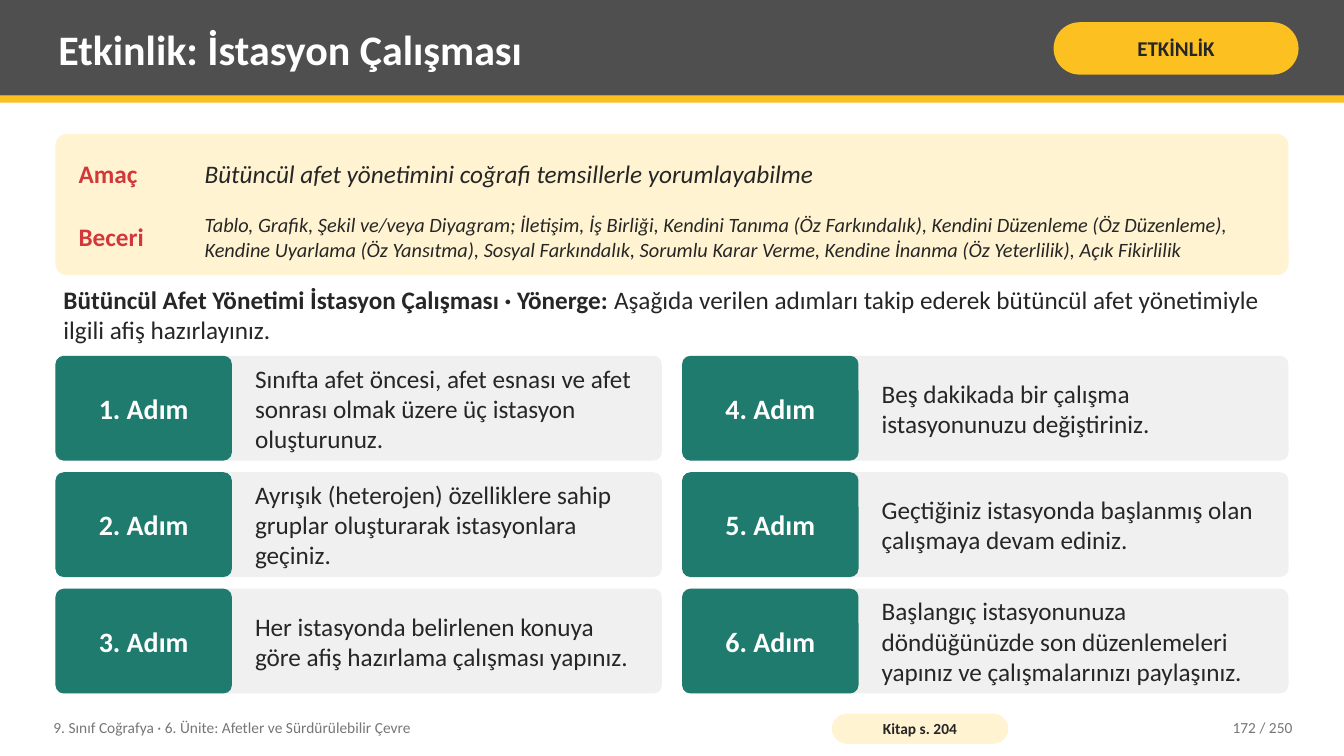
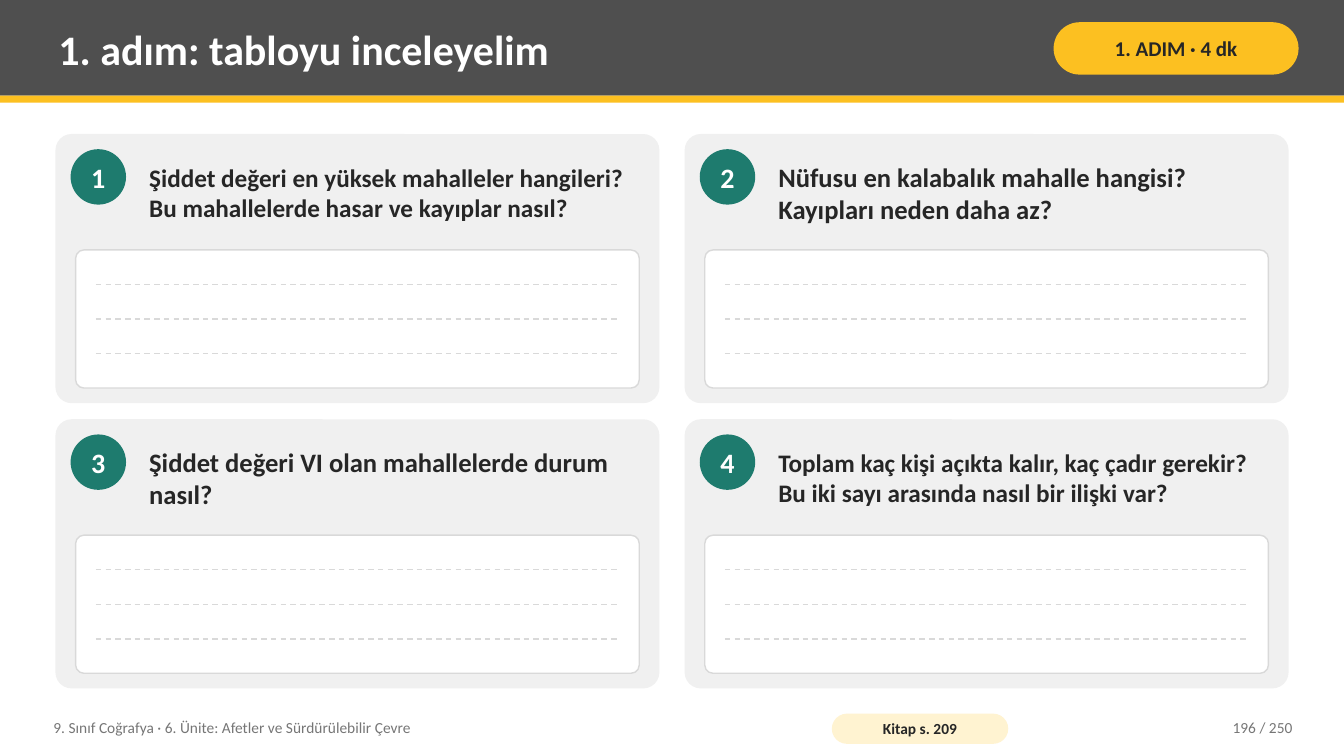
from dataclasses import dataclass, replace

from lxml.etree import SubElement
from pptx import Presentation
from pptx.dml.color import RGBColor as Rgb
from pptx.enum.dml import MSO_LINE as Dash
from pptx.enum.shapes import MSO_CONNECTOR as Connector, MSO_SHAPE as Preset
from pptx.enum.text import MSO_ANCHOR as Anchor, MSO_AUTO_SIZE as AutoSize, PP_ALIGN as Align
from pptx.oxml.ns import qn
from pptx.util import Inches, Pt


@dataclass(frozen=True)
class Style:
    size: float
    color: str
    bold: bool = False
    italic: bool = False
    align: Align = Align.LEFT


class Theme:
    font = "Calibri"
    white, ink, muted, rule = "FFFFFF", "262626", "767676", "D9D9D9"
    band, accent, cream, card = "4F4F4F", "FCC021", "FFF3D1", "F0F0F0"
    green, red = "1E7B6E", "D3373A"

    title = Style(30, white, bold=True)
    tag = Style(15, ink, bold=True, align=Align.CENTER)
    label = Style(18, red, bold=True)
    goal = Style(18, ink, italic=True)
    skills = replace(goal, size=14.5)
    body = Style(18, ink)
    strong = replace(body, bold=True)
    number = Style(20, white, bold=True, align=Align.CENTER)
    footer = Style(11, muted)
    page = replace(footer, align=Align.RIGHT)
    source = replace(tag, size=11)


WIDTH, HEIGHT = 13.33, 7.5
ROWS = 75
CELL = HEIGHT / ROWS
COLUMNS = WIDTH / CELL
MARGIN, CONTENT_WIDTH, CONTENT_TOP = 5.5, 122.3, 13.3
TEXT_INSET = (0.8, 0.4)
TOTAL_PAGES = 250
UNIT = "9. Sınıf Coğrafya · 6. Ünite: Afetler ve Sürdürülebilir Çevre"


def cells(count):
    return Inches(count * CELL)


def tiles(area, columns, rows, gap_x, gap_y):
    left, top, width, height = area
    tile_width = (width - (columns - 1) * gap_x) / columns
    tile_height = (height - (rows - 1) * gap_y) / rows
    return [
        [
            (left + c * (tile_width + gap_x), top + r * (tile_height + gap_y), tile_width, tile_height)
            for c in range(columns)
        ]
        for r in range(rows)
    ]


class Lesson:
    def __init__(self):
        self.deck = Presentation()
        self.deck.slide_width, self.deck.slide_height = Inches(WIDTH), Inches(HEIGHT)
        self.slide = None

    def start(self, title, tag, book_page, page):
        self.slide = self.deck.slides.add_slide(self.deck.slide_layouts[5])
        self.block((0, 0, COLUMNS, 9.5), Theme.band)
        stripe = self.block((0, 9.5, COLUMNS, 0.7), Theme.accent)
        heading = self.slide.shapes.title
        stripe.element.addnext(heading.element)
        heading.left, heading.top, heading.width, heading.height = map(cells, (5, 0.7, 97.5, 8.2))
        self.fill_text(heading, title, Theme.title)
        self.pill((104.5, 2.2, 24.3, 5.2), Theme.accent, tag, Theme.tag, (0.5, 0.2))
        self.text((4.5, 70.4, 76, 3.6), UNIT, Theme.footer)
        self.pill((82.5, 70.8, 17.5, 3), Theme.cream, f"Kitap s. {book_page}", Theme.source, (0.4, 0))
        self.text((113, 70.4, 16, 3.6), f"{page} / {TOTAL_PAGES}", Theme.page)

    def fill_text(self, shape, text, style, inset=TEXT_INSET, wrap=True):
        frame = shape.text_frame
        frame.text = text
        frame.auto_size = AutoSize.NONE
        frame.word_wrap = wrap
        frame.vertical_anchor = Anchor.MIDDLE
        frame.margin_left = frame.margin_right = cells(inset[0])
        frame.margin_top = frame.margin_bottom = cells(inset[1])
        paragraph = frame.paragraphs[0]
        paragraph.alignment = style.align
        self.dress(paragraph.runs[0], style)
        return paragraph

    def dress(self, run, style):
        font = run.font
        font.name, font.size = Theme.font, Pt(style.size)
        font.bold, font.italic = style.bold, style.italic
        font.color.rgb = Rgb.from_string(style.color)

    def text(self, area, text, style):
        return self.fill_text(self.slide.shapes.add_textbox(*map(cells, area)), text, style)

    def block(self, area, fill, preset=Preset.RECTANGLE, line=None):
        shape = self.slide.shapes.add_shape(preset, *map(cells, area))
        shape.shadow.inherit = False
        shape.fill.solid()
        shape.fill.fore_color.rgb = Rgb.from_string(fill)
        if line:
            shape.line.color.rgb = Rgb.from_string(line)
            shape.line.width = Pt(1)
        else:
            shape.line.fill.background()
        return shape

    def panel(self, area, fill, roundness, line=None):
        shape = self.block(area, fill, Preset.ROUNDED_RECTANGLE, line)
        shape.adjustments[0] = roundness
        return shape

    def pill(self, area, fill, text, style, inset):
        self.fill_text(self.panel(area, fill, 0.5), text, style, inset)

    def answer_line(self, left, right, y):
        rule = self.slide.shapes.add_connector(Connector.STRAIGHT, *map(cells, (left, y, right, y)))
        rule.line.color.rgb = Rgb.from_string(Theme.rule)
        rule.line.width = Pt(1)
        rule.line.dash_style = Dash.DASH
        SubElement(rule.element.spPr, qn("a:effectLst"))

    def aim(self, label, text, style, top, height):
        self.text((7, top, 12.5, height), label, Theme.label)
        self.text((19.5, top, 106.3, height), text, style)

    def instruction(self, area, lead, rest):
        run = self.text(area, lead, Theme.strong).add_run()
        run.text = rest
        self.dress(run, Theme.body)

    def step(self, area, number, text):
        left, top, width, height = area
        self.panel(area, Theme.card, 0.08)
        badge = self.panel((left, top, 17.5, height), Theme.green, 0.08)
        self.fill_text(badge, f"{number}. Adım", Theme.number, (0.6, 0.8))
        self.text((left + 19, top, width - 20, height), text, Theme.body)

    def question(self, area, number, text, size):
        left, top, width, height = area
        self.panel(area, Theme.card, 0.06)
        circle = self.block((left + 1.5, top + 1.5, 5.5, 5.5), Theme.green, Preset.OVAL)
        self.fill_text(circle, str(number), Theme.number, (0, 0), wrap=False)
        self.text((left + 8.5, top + 0.8, width - 10, 10), text, replace(Theme.strong, size=size))
        answer_top, answer_height = top + 11.5, height - 13
        self.panel((left + 2, answer_top, width - 4, answer_height), Theme.white, 0.06, Theme.rule)
        for quarter in (1, 2, 3):
            self.answer_line(left + 4, left + width - 4, answer_top + quarter * answer_height / 4)


STEPS = [
    "Sınıfta afet öncesi, afet esnası ve afet sonrası olmak üzere üç istasyon oluşturunuz.",
    "Ayrışık (heterojen) özelliklere sahip gruplar oluşturarak istasyonlara geçiniz.",
    "Her istasyonda belirlenen konuya göre afiş hazırlama çalışması yapınız.",
    "Beş dakikada bir çalışma istasyonunuzu değiştiriniz.",
    "Geçtiğiniz istasyonda başlanmış olan çalışmaya devam ediniz.",
    "Başlangıç istasyonunuza döndüğünüzde son düzenlemeleri yapınız ve çalışmalarınızı paylaşınız.",
]

QUESTIONS = [
    ("Şiddet değeri en yüksek mahalleler hangileri? Bu mahallelerde hasar ve kayıplar nasıl?", 18),
    ("Nüfusu en kalabalık mahalle hangisi? Kayıpları neden daha az?", 19),
    ("Şiddet değeri VI olan mahallelerde durum nasıl?", 19),
    ("Toplam kaç kişi açıkta kalır, kaç çadır gerekir? Bu iki sayı arasında nasıl bir ilişki var?", 18),
]


def station_activity(lesson):
    lesson.start("Etkinlik: İstasyon Çalışması", "ETKİNLİK", 204, 172)
    lesson.panel((MARGIN, CONTENT_TOP, CONTENT_WIDTH, 14), Theme.cream, 0.08)
    lesson.aim("Amaç", "Bütüncül afet yönetimini coğrafi temsillerle yorumlayabilme", Theme.goal, 13.9, 6.7)
    lesson.aim(
        "Beceri",
        "Tablo, Grafik, Şekil ve/veya Diyagram; İletişim, İş Birliği, Kendini Tanıma (Öz Farkındalık), "
        "Kendini Düzenleme (Öz Düzenleme), Kendine Uyarlama (Öz Yansıtma), Sosyal Farkındalık, "
        "Sorumlu Karar Verme, Kendine İnanma (Öz Yeterlilik), Açık Fikirlilik",
        Theme.skills, 20.3, 6.4,
    )
    lesson.instruction(
        (MARGIN, 27.7, CONTENT_WIDTH, 7),
        "Bütüncül Afet Yönetimi İstasyon Çalışması · Yönerge:",
        " Aşağıda verilen adımları takip ederek bütüncül afet yönetimiyle ilgili afiş hazırlayınız.",
    )
    grid = tiles((MARGIN, 35.3, CONTENT_WIDTH, 33.5), 2, 3, 2, 1.15)
    by_column = [area for column in zip(*grid) for area in column]
    for number, (area, text) in enumerate(zip(by_column, STEPS), 1):
        lesson.step(area, number, text)


def table_questions(lesson):
    lesson.start("1. adım: tabloyu inceleyelim", "1. ADIM · 4 dk", 209, 196)
    grid = tiles((MARGIN, CONTENT_TOP, CONTENT_WIDTH, 55), 2, 2, 2.5, 1.6)
    by_row = [area for row in grid for area in row]
    for number, (area, (text, size)) in enumerate(zip(by_row, QUESTIONS), 1):
        lesson.question(area, number, text, size)


def main():
    lesson = Lesson()
    station_activity(lesson)
    table_questions(lesson)
    lesson.deck.save("out.pptx")


if __name__ == "__main__":
    main()
